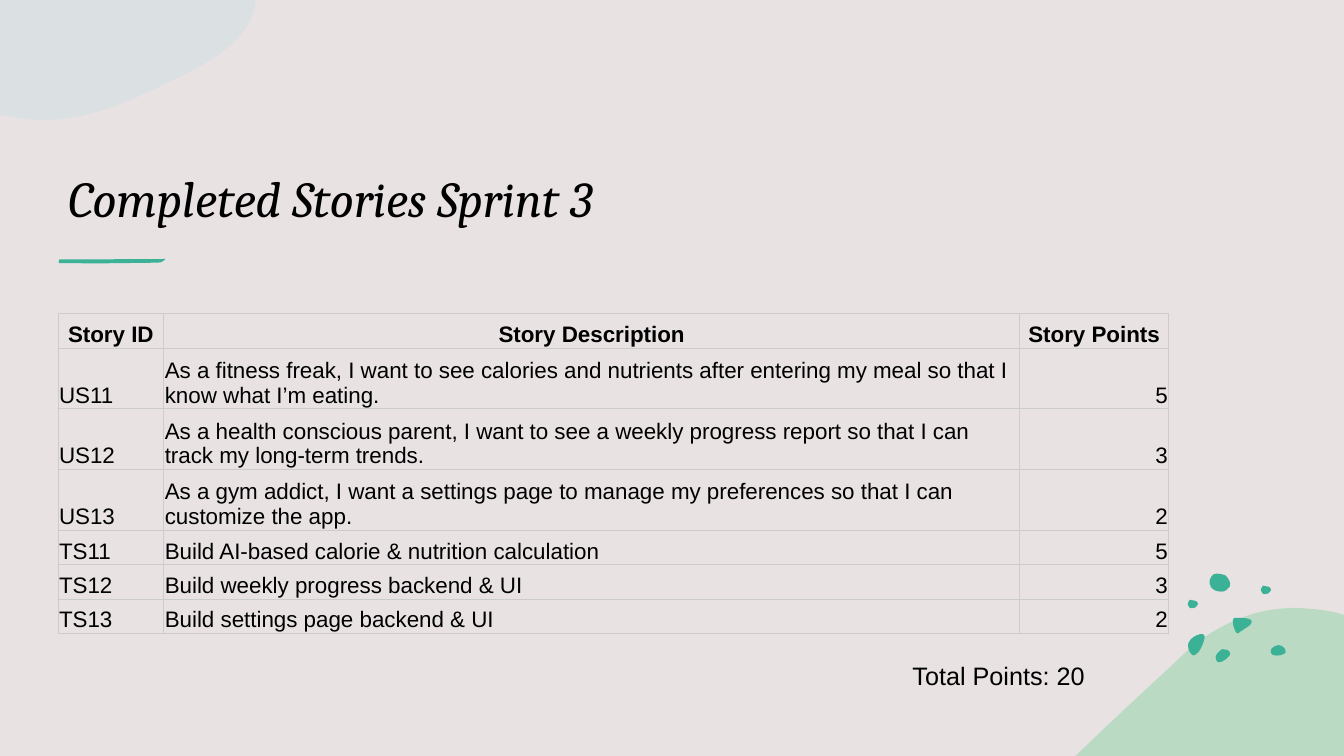
import pptx
import pptx.dml.color
import pptx.enum.shapes
import pptx.enum.text
import pptx.oxml
import pptx.oxml.ns
import pptx.util

Pt = pptx.util.Pt
RGBColor = pptx.dml.color.RGBColor
Align = pptx.enum.text.PP_ALIGN
Anchor = pptx.enum.text.MSO_ANCHOR

BACKDROP = RGBColor(0xE8, 0xE2, 0xE3)
PALE_BLUE = RGBColor(0xB7, 0xDE, 0xE6)
PALE_GREEN = RGBColor(0x90, 0xD3, 0xA7)
TEAL = RGBColor(0x3B, 0xB1, 0x95)
BLACK = RGBColor(0, 0, 0)
BORDER = RGBColor(0xCC, 0xCC, 0xCC)

TITLE = "Completed Stories Sprint 3"
TOTAL = "Total Points: 20"
STORIES = [
    ("Story ID", "Story Description", "Story Points"),
    ("US11", "As a fitness freak, I want to see calories and nutrients after "
             "entering my meal so that I know what I’m eating.", "5"),
    ("US12", "As a health conscious parent, I want to see a weekly progress "
             "report so that I can track my long-term trends.", "3"),
    ("US13", "As a gym addict, I want a settings page to manage my "
             "preferences so that I can customize the app.", "2"),
    ("TS11", "Build AI-based calorie & nutrition calculation", "5"),
    ("TS12", "Build weekly progress backend & UI", "3"),
    ("TS13", "Build settings page backend & UI", "2"),
]
COLUMN_WIDTHS = [75.6, 611.3, 106.5]
COLUMN_ALIGNS = [Align.LEFT, Align.LEFT, Align.RIGHT]
ONE_LINE, TWO_LINES = 24.6, 43.4
ROW_HEIGHTS = [ONE_LINE] + [TWO_LINES] * 3 + [ONE_LINE] * 3

# An outline is a start point, then lines (x, y) and curves (two controls, end).
CORNER = [
    (0, 0), (182.2, 0), (182.2, 4.3),
    (176.4, 31.7, 144, 48.2, 113.8, 61.9), (88.6, 74.2, 61.9, 85.7, 29.5, 85.7),
    (22.3, 85.7, 15.8, 85, 9.4, 83.5), (0, 82.1),
]
HILL = [
    (927.4, 434.2), (936.7, 434.9, 946.1, 435.6, 955.4, 437.8), (960, 439.2),
    (960, 540), (768, 540), (769, 539.3),
    (793.4, 515.5, 818.6, 492.5, 841.7, 470.9),
    (857.5, 455, 874.1, 445.7, 890.6, 439.9),
    (902.9, 435.6, 915.1, 434.2, 927.4, 434.2),
]
UNDERLINE = [
    (42.5, 185.2), (41.8, 185.8, 41, 188.6, 43.9, 188), (54, 188), (66.2, 188.2),
    (84.2, 188), (107.3, 187.7), (112.9, 187.6),
    (117, 187.6, 116, 185.8, 118.3, 185), (80, 185.2),
]
SPECK = [
    (0, 3.6), (0, 3.6, 0, 0.7, 1.4, 0), (2.9, 0, 3.6, 0, 5, 0.7),
    (5.8, 0.7, 7.2, 1.4, 7.2, 2.9), (7.2, 3.6, 6.5, 4.3, 5.8, 5),
    (5.8, 5, 5.8, 5.8, 4.3, 5.8), (3.6, 5.8, 2.2, 6.5, 1.4, 5.8),
    (0.7, 4.3, 0, 4.3, 0, 3.6),
]
SPECK_PLACES = [(900.7, 418.3), (848.5, 428.4)]
PEBBLES = [
    [(873.4, 463.7), (874.8, 463.7, 875.5, 463.7, 877, 464.4),
     (878.4, 465.1, 879.1, 466.6, 878.4, 468),
     (877, 470.2, 872.6, 473.8, 869.8, 473),
     (869, 472.3, 868.3, 470.9, 868.3, 469.4),
     (868.3, 468, 869.8, 465.8, 871.2, 465.1),
     (871.9, 464.4, 872.6, 463.7, 873.4, 463.7)],
    [(857.5, 452.9), (859, 452.9, 860.4, 452.9, 860.4, 454.3), (860.4, 455.8),
     (859.7, 459.4, 858.2, 463, 856.1, 465.8),
     (854.6, 467.3, 852.5, 469.4, 851, 467.3),
     (848.9, 465.1, 848.2, 461.5, 848.9, 459.4),
     (849.6, 457.2, 851, 456.5, 852.5, 455),
     (853.2, 455, 855.4, 452.9, 857.5, 452.9)],
    [(913.7, 460.8), (915.1, 460.8, 917.3, 462.2, 918, 463.7),
     (918.7, 465.1, 918.7, 466.6, 916.6, 467.3),
     (914.4, 468.7, 908.6, 468.7, 907.9, 466.6),
     (907.2, 465.1, 907.9, 463.7, 908.6, 463),
     (910.1, 461.5, 911.5, 460.8, 913.7, 460.8)],
    [(864.7, 418.3), (864, 418.3, 863.3, 414, 865.4, 411.8),
     (866.9, 410.4, 866.9, 409.7, 869, 409.7),
     (871.2, 409.7, 874.1, 410.4, 875.5, 411.1),
     (877, 412.6, 879.8, 416.2, 878.4, 419),
     (876.2, 421.2, 875.5, 422.6, 872.6, 422.6),
     (870.5, 422.6, 866.9, 421.9, 866.2, 420.5),
     (864.7, 419.8, 864.7, 419, 864.7, 418.3)],
    [(884.2, 441.4), (888.5, 441.4, 896.4, 441.4, 893.5, 445.7),
     (893.5, 446.4, 892.8, 447.1, 892.1, 447.1), (885.6, 451.4),
     (884.9, 452.2, 884.2, 452.9, 883.4, 452.2), (882.7, 451.4),
     (881.3, 448.6, 880.6, 446.4, 880.6, 443.5),
     (880.6, 442.8, 880.6, 442.1, 881.3, 441.4)],
]


def bend_curves(shape, outline):
    """Join each three points that form a curve into one Bézier segment."""
    lines = iter(shape._element.findall(".//" + pptx.oxml.ns.qn("a:lnTo")))
    for segment in outline[1:]:
        first = next(lines)
        if len(segment) == 6:
            first.tag = pptx.oxml.ns.qn("a:cubicBezTo")
            for follower in (next(lines), next(lines)):
                first.append(follower[0])
                follower.getparent().remove(follower)


def style(shape, color, alpha=100):
    shape.shadow.inherit = False
    shape.line.fill.background()
    shape.fill.solid()
    shape.fill.fore_color.rgb = color
    if alpha < 100:
        color_element = shape.fill._xPr.find(".//" + pptx.oxml.ns.qn("a:srgbClr"))
        color_element.append(pptx.oxml.parse_xml(
            f'<a:alpha {pptx.oxml.ns.nsdecls("a")} val="{alpha * 1000}"/>'))


def add_outline(slide, outline, color, alpha=100, place=(0, 0)):
    points = [(Pt(segment[i] + place[0]), Pt(segment[i + 1] + place[1]))
              for segment in outline for i in range(0, len(segment), 2)]
    builder = slide.shapes.build_freeform(*points[0])
    builder.add_line_segments(points[1:], close=True)
    shape = builder.convert_to_shape()
    bend_curves(shape, outline)
    style(shape, color, alpha)


def write(frame, text, size, font_name, align=Align.LEFT, bold=False, italic=False):
    paragraph = frame.paragraphs[0]
    paragraph.alignment = align
    run = paragraph.add_run()
    run.text = text
    font = run.font
    font.size, font.name = Pt(size), font_name
    font.bold, font.italic = bold, italic
    font.color.rgb = BLACK


def add_borders(cell):
    properties = cell._tc.get_or_add_tcPr()
    for position, side in enumerate(("lnL", "lnR", "lnT", "lnB")):
        properties.insert(position, pptx.oxml.parse_xml(
            f'<a:{side} {pptx.oxml.ns.nsdecls("a")} w="{Pt(0.75)}"><a:solidFill>'
            f'<a:srgbClr val="{BORDER}"/></a:solidFill></a:{side}>'))


def add_story_table(slide):
    table = slide.shapes.add_table(
        len(STORIES), len(COLUMN_WIDTHS), Pt(41.4), Pt(224.1),
        Pt(sum(COLUMN_WIDTHS)), Pt(sum(ROW_HEIGHTS))).table
    table.horz_banding = False
    for column, width in zip(table.columns, COLUMN_WIDTHS):
        column.width = Pt(width)
    for row, height in zip(table.rows, ROW_HEIGHTS):
        row.height = Pt(height)
    for row_index, story in enumerate(STORIES):
        header = row_index == 0
        for column_index, text in enumerate(story):
            cell = table.cell(row_index, column_index)
            cell.fill.background()
            cell.vertical_anchor = Anchor.BOTTOM
            cell.margin_left = cell.margin_right = Pt(0.75)
            cell.margin_top = cell.margin_bottom = Pt(0.75)
            align = Align.CENTER if header else COLUMN_ALIGNS[column_index]
            write(cell.text_frame, text, 16, "Arial", align, bold=header)
            add_borders(cell)


def main():
    presentation = pptx.Presentation()
    presentation.slide_width, presentation.slide_height = Pt(960), Pt(540)
    slide = presentation.slides.add_slide(presentation.slide_layouts[5])
    slide.background.fill.solid()
    slide.background.fill.fore_color.rgb = BACKDROP
    title = slide.shapes.title
    backdrop = slide.shapes.add_shape(
        pptx.enum.shapes.MSO_SHAPE.RECTANGLE, 0, 0, Pt(960), Pt(540))
    style(backdrop, BACKDROP)
    title._element.addprevious(backdrop._element)

    add_outline(slide, CORNER, PALE_BLUE, alpha=25)
    title.left, title.top, title.width, title.height = map(Pt, (41.4, 62, 793.4, 104.4))
    title.text_frame.auto_size = pptx.enum.text.MSO_AUTO_SIZE.NONE
    title.text_frame.vertical_anchor = Anchor.BOTTOM
    write(title.text_frame, TITLE, 36, "Cambria", italic=True)

    add_outline(slide, UNDERLINE, TEAL)
    add_outline(slide, HILL, PALE_GREEN, alpha=50)
    for pebble in PEBBLES:
        add_outline(slide, pebble, TEAL)
    for place in SPECK_PLACES:
        add_outline(slide, SPECK, TEAL, place=place)

    add_story_table(slide)
    total = slide.shapes.add_textbox(Pt(644.7), Pt(468), Pt(203.8), Pt(29.5))
    total.text_frame.word_wrap = True
    total.text_frame.auto_size = pptx.enum.text.MSO_AUTO_SIZE.SHAPE_TO_FIT_TEXT
    write(total.text_frame, TOTAL, 18, "Arial")
    presentation.save("out.pptx")


if __name__ == "__main__":
    main()
